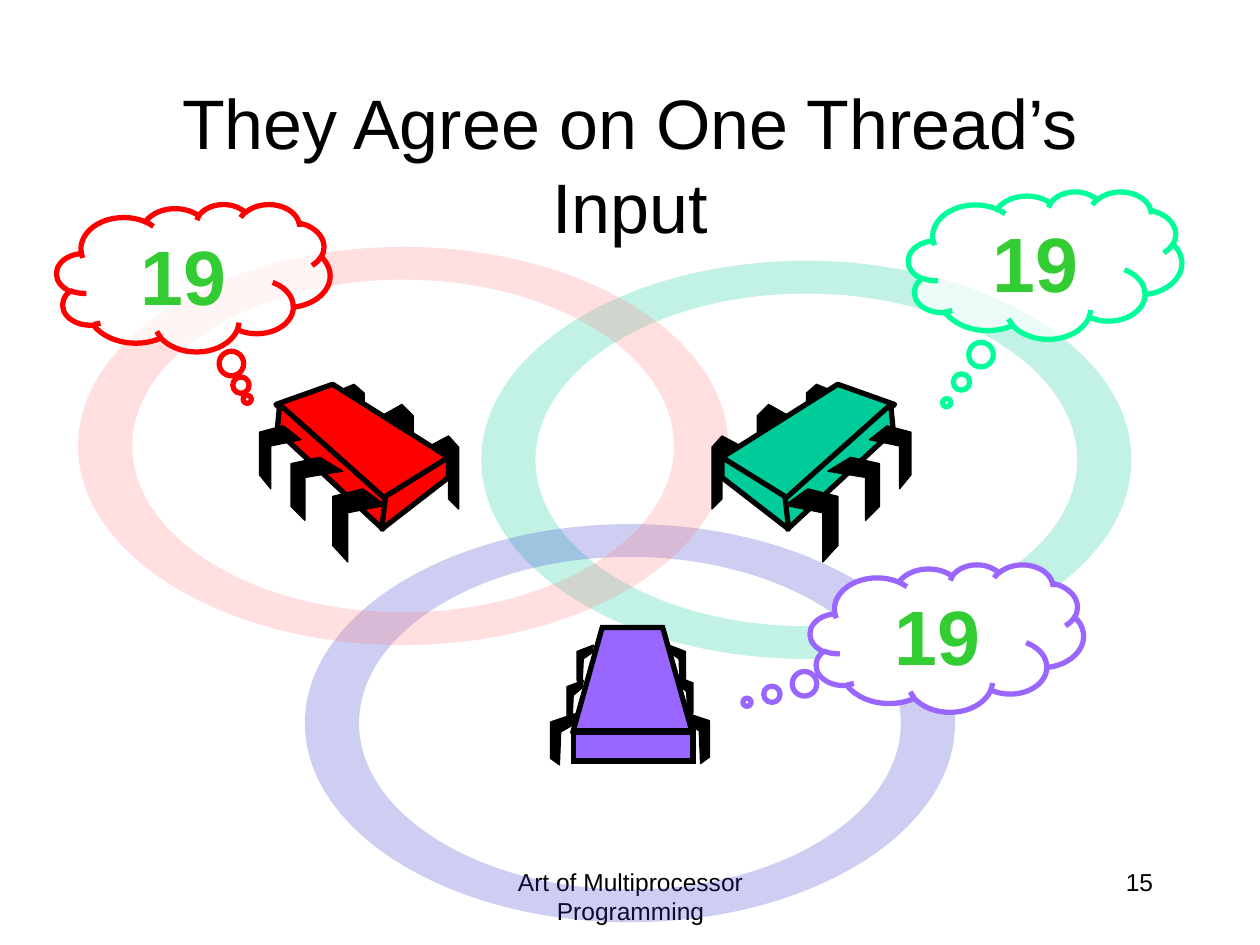
from lxml.etree import SubElement
from pptx import Presentation
from pptx.dml.color import RGBColor
from pptx.enum.shapes import MSO_SHAPE as Shape
from pptx.enum.text import MSO_ANCHOR as Anchor, PP_ALIGN as Align
from pptx.util import Cm, Pt

COLORS = {
    "black": "000000", "white": "FFFFFF", "red": "FF0000", "teal": "00CC99",
    "violet": "9966FF", "mint": "00FF99", "number": "33CC33",
    "pink": "FF7C80", "blue": "3333CC",
}

# All positions below are in inches.
TITLE = "They Agree on One Thread’s Input"
FOOTER = "Art of Multiprocessor Programming"
PAGE = "15"
AGREED = "19"

RING_RADII = [(2.58, 1.58), (2.15, 1.32)]  # outer, inner
RINGS = {"teal": (6.4, 3.65), "blue": (5, 5.74), "pink": (3.2, 3.54)}
CURVE = 0.55  # control point distance that rounds a quarter ellipse

# line color, left, top, pointer offsets, opacity
CLOUD_SIZE = (2.17, 1.17)
RED_CLOUD = ("red", 0.45, 1.62, (0.197, 0.824), 70)
MINT_CLOUD = ("mint", 7.21, 1.52, (-0.36, 0.933), 70)
VIOLET_CLOUD = ("violet", 6.43, 4.48, (-0.731, 0.435), 100)

# The slanted thread leans right; its twin is its mirror image.
SLANTED_AXIS = 4.645
FAR_LEGS = [
    [(3.39, 3.55), (3.56, 3.46), (3.64, 3.55), (3.64, 4.04), (3.56, 3.96), (3.56, 3.63), (3.39, 3.71)],
    [(3.03, 3.3), (3.19, 3.21), (3.28, 3.3), (3.28, 3.79), (3.19, 3.71), (3.19, 3.38), (3.03, 3.46)],
    [(2.64, 3.12), (2.81, 3.05), (2.89, 3.12), (2.89, 3.54), (2.81, 3.47), (2.81, 3.19), (2.64, 3.26)],
]
SLANTED_BODY = [
    [(2.64, 3.05), (3.56, 3.63), (3.04, 3.97), (2.19, 3.21)],
    [(2.22, 3.21), (3.06, 3.96), (3.04, 4.2), (2.2, 3.42)],
    [(3.56, 3.63), (3.56, 3.79), (3.03, 4.2), (3.06, 3.94)],
]
NEAR_LEGS = [
    [(2.88, 3.88), (3.06, 4.01), (2.76, 4.07), (2.76, 4.46), (2.64, 4.33), (2.64, 3.94)],
    [(2.54, 3.63), (2.72, 3.74), (2.42, 3.79), (2.42, 4.13), (2.31, 4.02), (2.31, 3.68)],
    [(2.25, 3.38), (2.39, 3.49), (2.15, 3.54), (2.15, 3.88), (2.06, 3.77), (2.06, 3.43)],
]

# The upright thread: right legs, each with the axis and drop of its left twin.
FRONT_LEGS = [
    ([(5.42, 5.65), (5.63, 5.72), (5.63, 6.01), (5.56, 6.06), (5.55, 5.8), (5.43, 5.73)], 5, 0.01),
    ([(5.37, 5.37), (5.5, 5.42), (5.5, 5.66), (5.46, 5.7), (5.45, 5.49), (5.38, 5.43)], 5, 0.03),
]
BACK_LEGS = [
    ([(5.31, 5.12), (5.44, 5.17), (5.44, 5.4), (5.4, 5.44), (5.39, 5.23), (5.32, 5.18)], 5.01, 0),
]
UPRIGHT_TOP = [(4.55, 5.8), (4.78, 4.98), (5.26, 4.98), (5.49, 5.8)]
UPRIGHT_FACE = (4.55, 5.81, 0.95, 0.23)


def inches(*values):
    return [Cm(value * 2.54) for value in values]


def rgb(name):
    return RGBColor.from_string(COLORS[name])


def paint(shape, fill, line=None, width=3, opacity=100):
    shape.shadow.inherit = False
    shape.fill.solid()
    shape.fill.fore_color.rgb = rgb(fill)
    if opacity < 100:
        color = shape.fill._xPr.find(".//{*}srgbClr")
        tag = color.tag.replace("srgbClr", "alpha")
        SubElement(color, tag).set("val", str(opacity * 1000))
    if line:
        shape.line.color.rgb = rgb(line)
        shape.line.width = Pt(width)
    else:
        shape.line.fill.background()


def sharpen_corners(shape):
    line = shape._element.spPr.find("{*}ln")
    SubElement(line, line.tag.replace("}ln", "}miter")).set("lim", "800000")


def write(shape, text, size, align, color="black", bold=False, anchor=Anchor.TOP):
    frame = shape.text_frame
    frame.word_wrap = True
    frame.vertical_anchor = anchor
    paragraph = frame.paragraphs[0]
    paragraph.alignment = align
    run = paragraph.add_run()
    run.text = text
    run.font.name = "Arial"
    run.font.size = Pt(size)
    run.font.bold = bold
    run.font.color.rgb = rgb(color)


def outline(shapes, *contours):
    """Build one closed freeform; a second contour cuts a hole."""
    first, *holes = [[inches(*point) for point in contour] for contour in contours]
    builder = shapes.build_freeform(*first[0], scale=1.0)
    builder.add_line_segments(first[1:], close=True)
    for hole in holes:
        builder.move_to(*hole[0])
        builder.add_line_segments(hole[1:], close=True)
    return builder.convert_to_shape()


def mirror(points, axis, drop=0):
    return [(2 * axis - x, y + drop) for x, y in points]


def ellipse(center, radii, direction):
    """Return a start point, then two control points and an end per quarter."""
    unit = [(-1, 0)]
    for _ in range(4):
        x, y = unit[-1]
        end_x, end_y = -y * direction, x * direction
        unit += [(x + CURVE * end_x, y + CURVE * end_y),
                 (end_x + CURVE * x, end_y + CURVE * y), (end_x, end_y)]
    return [(center[0] + radii[0] * x, center[1] + radii[1] * y) for x, y in unit]


def curve_segments(shape):
    """Turn every three straight segments into one Bezier curve."""
    lines = shape._element.findall(".//{*}lnTo")
    for curve, *others in zip(lines[::3], lines[1::3], lines[2::3]):
        bezier = curve.makeelement(curve.tag.replace("lnTo", "cubicBezTo"))
        curve.addprevious(bezier)
        for segment in (curve, *others):
            bezier.append(segment[0])
            segment.getparent().remove(segment)


def add_ring(shapes, color):
    outer, inner = RING_RADII
    center = RINGS[color]
    ring = outline(shapes, ellipse(center, outer, 1), ellipse(center, inner, -1))
    curve_segments(ring)
    paint(ring, color, opacity=24)


def add_cloud(shapes, color, left, top, pointer, opacity):
    cloud = shapes.add_shape(Shape.CLOUD_CALLOUT, *inches(left, top, *CLOUD_SIZE))
    for index, offset in enumerate(pointer):
        cloud.adjustments[index] = offset
    paint(cloud, "white", color, opacity=opacity)
    write(cloud, AGREED, 44, Align.CENTER, "number", True, Anchor.MIDDLE)


def add_leg(shapes, points):
    paint(outline(shapes, points), "black", "black", 0.75)


def add_leg_pairs(shapes, pairs):
    for leg, axis, drop in pairs:
        add_leg(shapes, leg)
        add_leg(shapes, mirror(leg, axis, drop))


def add_slanted_thread(shapes, color, mirrored):
    parts = shapes.add_group_shape().shapes

    def place(points):
        return mirror(points, SLANTED_AXIS) if mirrored else points

    for leg in FAR_LEGS:
        add_leg(parts, place(leg))
    for side in SLANTED_BODY:
        paint(outline(parts, place(side)), color, "black")
    for leg in NEAR_LEGS:
        add_leg(parts, place(leg))


def add_upright_thread(shapes, color):
    parts = shapes.add_group_shape().shapes
    add_leg_pairs(parts, FRONT_LEGS)
    top = outline(parts, UPRIGHT_TOP)
    face = parts.add_shape(Shape.RECTANGLE, *inches(*UPRIGHT_FACE))
    for side in (top, face):
        paint(side, color, "black")
        sharpen_corners(side)
    add_leg_pairs(parts, BACK_LEGS)


def main():
    deck = Presentation()
    deck.slide_width, deck.slide_height = inches(10, 7.5)
    shapes = deck.slides.add_slide(deck.slide_layouts[6]).shapes

    write(shapes.add_textbox(*inches(3.42, 6.83, 3.17, 0.5)), FOOTER, 14, Align.CENTER)
    write(shapes.add_textbox(*inches(7.17, 6.83, 2.08, 0.5)), PAGE, 14, Align.RIGHT)
    add_ring(shapes, "teal")
    add_ring(shapes, "blue")
    title = shapes.add_textbox(*inches(0.75, 0.67, 8.5, 1.25))
    write(title, TITLE, 40, Align.CENTER, anchor=Anchor.MIDDLE)
    add_ring(shapes, "pink")

    add_upright_thread(shapes, "violet")
    add_cloud(shapes, *RED_CLOUD)
    add_cloud(shapes, *MINT_CLOUD)
    add_slanted_thread(shapes, "red", mirrored=False)
    add_slanted_thread(shapes, "teal", mirrored=True)
    add_cloud(shapes, *VIOLET_CLOUD)
    deck.save("out.pptx")


if __name__ == "__main__":
    main()
